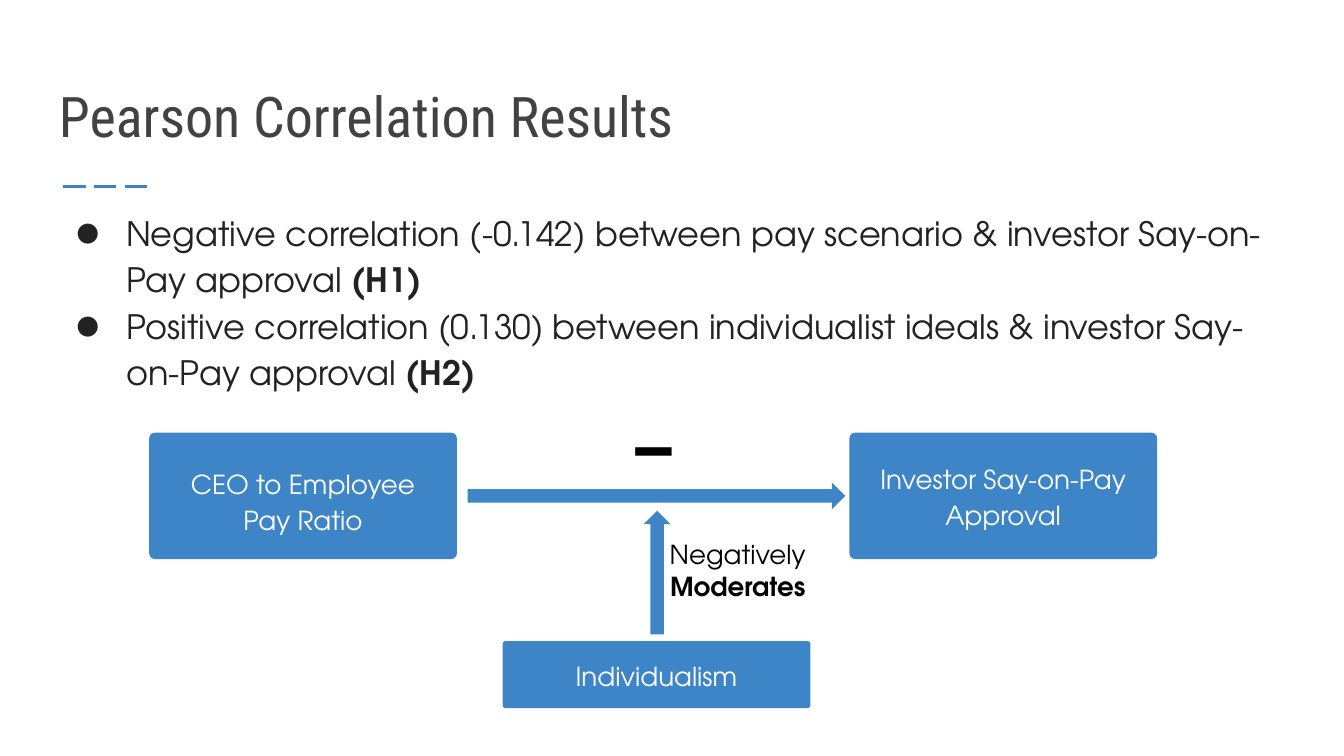
from dataclasses import dataclass

from lxml.etree import SubElement
from pptx import Presentation
from pptx.dml.color import RGBColor
from pptx.enum.dml import MSO_LINE
from pptx.enum.shapes import MSO_CONNECTOR, MSO_SHAPE
from pptx.enum.text import MSO_ANCHOR, PP_ALIGN
from pptx.oxml.ns import qn
from pptx.slide import Slide
from pptx.text.text import TextFrame
from pptx.util import Inches, Pt


@dataclass(frozen=True)
class Theme:
    blue: str = "3D85C6"
    title: str = "424242"
    body: str = "222222"
    black: str = "000000"
    white: str = "FFFFFF"
    title_font: str = "Roboto Condensed"
    body_font: str = "TeX Gyre Adventor"
    title_size: int = 30
    body_size: int = 18
    label_size: int = 14
    sign_size: int = 72
    line_spacing: float = 1.15


@dataclass(frozen=True)
class Area:
    left: float
    top: float
    width: float
    height: float

    def lengths(self) -> list[Inches]:
        return [Inches(v) for v in (self.left, self.top, self.width, self.height)]


@dataclass(frozen=True)
class Style:
    size: int
    color: str
    font: str = Theme.body_font
    align: PP_ALIGN = PP_ALIGN.LEFT
    spacing: float = 1.0
    bulleted: bool = False


@dataclass(frozen=True)
class Variable:
    label: str
    left: float
    top: float
    height: float
    label_top: float
    label_height: float


@dataclass(frozen=True)
class Arrow:
    area: Area
    rotation: int = 0


THEME = Theme()
SLIDE_WIDTH = 10
SLIDE_HEIGHT = SLIDE_WIDTH * 9 / 16
BOX_WIDTH = 2.29
LABEL_INSET = 0.06

TITLE_STYLE = Style(THEME.title_size, THEME.title, THEME.title_font)
FINDING_STYLE = Style(THEME.body_size, THEME.body, spacing=THEME.line_spacing, bulleted=True)
BOX_STYLE = Style(THEME.label_size, THEME.white, align=PP_ALIGN.CENTER, spacing=THEME.line_spacing)
EFFECT_STYLE = Style(THEME.label_size, THEME.black, align=PP_ALIGN.CENTER)
SIGN_STYLE = Style(THEME.sign_size, THEME.black)

FINDINGS = [
    ("Negative correlation (-0.142) between pay scenario & investor Say-on-Pay approval ", "(H1)"),
    ("Positive correlation (0.130) between individualist ideals & investor Say-on-Pay approval ", "(H2)"),
]
VARIABLES = [
    Variable("CEO to Employee Pay Ratio", 1.11, 3.22, 0.94, 3.35, 0.76),
    Variable("Individualism", 3.74, 4.77, 0.5, 4.78, 0.3),
    Variable("Investor Say-on-Pay Approval", 6.32, 3.22, 0.94, 3.31, 0.76),
]
ARROWS = [Arrow(Area(3.48, 3.59, 2.81, 0.2)), Arrow(Area(4.43, 4.16, 0.92, 0.2), 270)]


def rgb(color: str) -> RGBColor:
    return RGBColor.from_string(color)


def add_bullet(paragraph) -> None:
    properties = paragraph._p.get_or_add_pPr()
    properties.set("marL", str(Inches(0.5)))
    properties.set("indent", str(Inches(-0.38)))
    color = SubElement(properties, qn("a:buClr"))
    SubElement(color, qn("a:srgbClr"), val=THEME.body)
    SubElement(properties, qn("a:buFont"), typeface=THEME.body_font)
    SubElement(properties, qn("a:buChar"), char="●")


def write_paragraphs(frame: TextFrame, paragraphs: list[tuple[str, ...]], style: Style) -> None:
    for index, texts in enumerate(paragraphs):
        paragraph = frame.add_paragraph() if index else frame.paragraphs[0]
        paragraph.alignment = style.align
        paragraph.line_spacing = style.spacing
        if style.bulleted:
            add_bullet(paragraph)
        for position, text in enumerate(texts):
            run = paragraph.add_run()
            run.text = text
            run.font.name = style.font
            run.font.size = Pt(style.size)
            run.font.bold = position > 0
            run.font.color.rgb = rgb(style.color)


def add_text(slide: Slide, area: Area, paragraphs: list[tuple[str, ...]], style: Style,
             anchor: MSO_ANCHOR = MSO_ANCHOR.TOP) -> None:
    frame = slide.shapes.add_textbox(*area.lengths()).text_frame
    frame.word_wrap = True
    frame.vertical_anchor = anchor
    frame.margin_left = frame.margin_right = Inches(0.1)
    frame.margin_top = frame.margin_bottom = Inches(0.1)
    write_paragraphs(frame, paragraphs, style)


def add_blue_shape(slide: Slide, kind: MSO_SHAPE, area: Area):
    shape = slide.shapes.add_shape(kind, *area.lengths())
    shape.shadow.inherit = False
    shape.fill.solid()
    shape.fill.fore_color.rgb = rgb(THEME.blue)
    shape.line.fill.background()
    return shape


def add_variable(slide: Slide, variable: Variable) -> None:
    box = Area(variable.left, variable.top, BOX_WIDTH, variable.height)
    shape = add_blue_shape(slide, MSO_SHAPE.ROUNDED_RECTANGLE, box)
    shape.adjustments[0] = 0.045
    label = Area(variable.left + LABEL_INSET, variable.label_top,
                 BOX_WIDTH - 2 * LABEL_INSET, variable.label_height)
    add_text(slide, label, [(variable.label,)], BOX_STYLE)


def add_arrow(slide: Slide, arrow: Arrow) -> None:
    shape = add_blue_shape(slide, MSO_SHAPE.RIGHT_ARROW, arrow.area)
    shape.rotation = arrow.rotation


def add_title_rule(slide: Slide) -> None:
    rule = slide.shapes.add_connector(
        MSO_CONNECTOR.STRAIGHT, Inches(0.47), Inches(1.39), Inches(1.14), Inches(1.39))
    rule.line.color.rgb = rgb(THEME.blue)
    rule.line.width = Pt(1.5)
    rule.line.dash_style = MSO_LINE.LONG_DASH
    SubElement(rule._element.spPr, qn("a:effectLst"))


def main() -> None:
    presentation = Presentation()
    presentation.slide_width = Inches(SLIDE_WIDTH)
    presentation.slide_height = Inches(SLIDE_HEIGHT)
    slide = presentation.slides.add_slide(presentation.slide_layouts[6])
    slide.background.fill.solid()
    slide.background.fill.fore_color.rgb = rgb(THEME.white)

    add_title_rule(slide)
    add_text(slide, Area(0.34, 0.41, 9.32, 0.8), [("Pearson Correlation Results",)],
             TITLE_STYLE, MSO_ANCHOR.BOTTOM)
    add_text(slide, Area(0.34, 1.44, 9.32, 3.39), FINDINGS, FINDING_STYLE)
    for variable in VARIABLES:
        add_variable(slide, variable)
    for arrow in ARROWS:
        add_arrow(slide, arrow)
    add_text(slide, Area(4.86, 3.91, 1.26, 0.73), [("Negatively ", "Moderates")], EFFECT_STYLE)
    add_text(slide, Area(4.6, 2.53, 1.6, 1.07), [("-",)], SIGN_STYLE)
    presentation.save("out.pptx")


if __name__ == "__main__":
    main()
